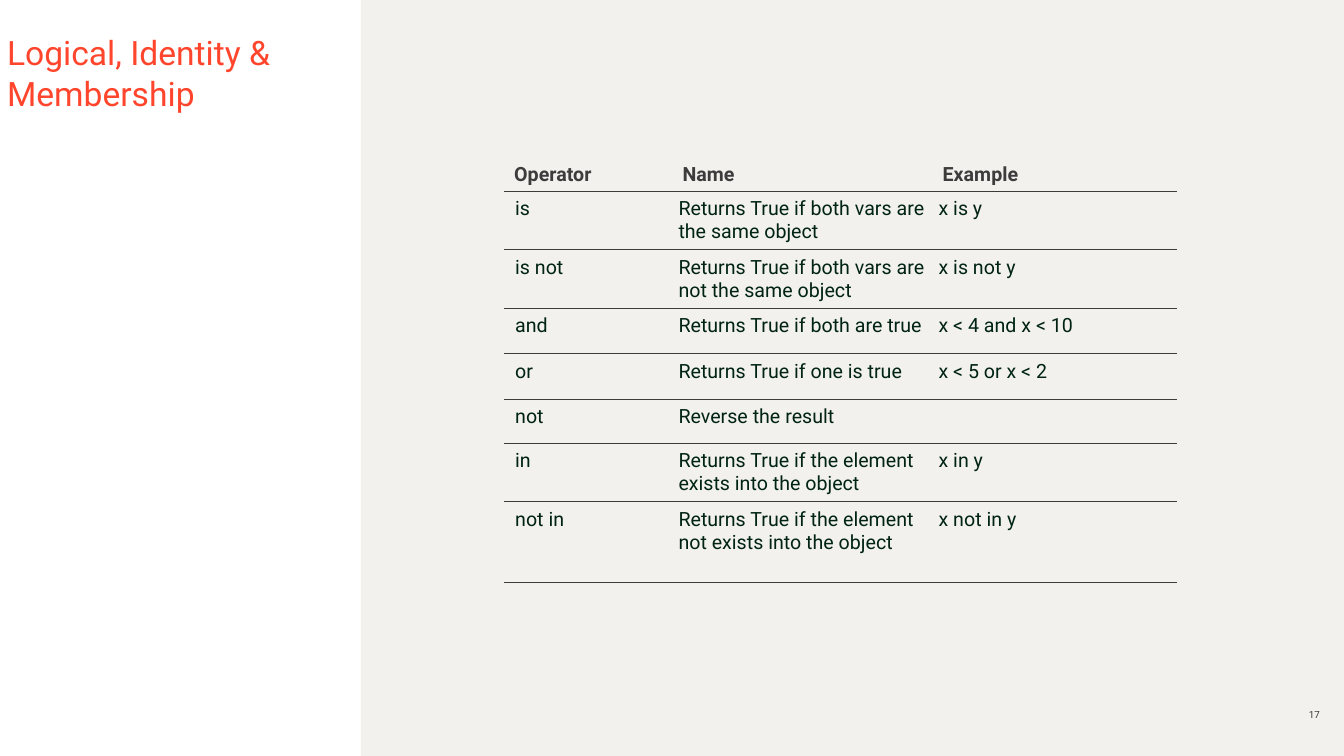
from lxml import etree
from pptx import Presentation
from pptx.dml.color import RGBColor
from pptx.enum.shapes import MSO_SHAPE
from pptx.enum.text import MSO_ANCHOR, MSO_AUTO_SIZE, PP_ALIGN
from pptx.oxml.ns import qn
from pptx.util import Inches, Pt

RECTANGLE = MSO_SHAPE.RECTANGLE
TOP, BOTTOM = MSO_ANCHOR.TOP, MSO_ANCHOR.BOTTOM
LEFT, RIGHT = PP_ALIGN.LEFT, PP_ALIGN.RIGHT
NO_AUTOFIT = MSO_AUTO_SIZE.NONE

FONT = "Roboto"
PANEL_BEIGE = RGBColor(0xF2, 0xF1, 0xEE)
TITLE_RED = RGBColor(0xFF, 0x46, 0x2D)
DARK_GREY = RGBColor(0x3D, 0x3B, 0x3B)
DARK_GREEN = RGBColor(0x00, 0x23, 0x13)
NO_STYLE_NO_GRID = "{2D5ABB26-0587-4C30-8999-92F81FD0307C}"

COLUMN_WIDTHS = [1.67, 2.58, 1.78, 0.64]
ROW_HEIGHTS = [0.94, 0.57, 0.57, 0.45, 0.45, 0.44, 0.57, 0.8]
OPERATORS = [
    ("Operator", "Name", "Example", ""),
    ("is", "Returns True if both vars are the same object", "x is y", ""),
    ("is not", "Returns True if both vars are not the same object", "x is not y", ""),
    ("and", "Returns True if both are true", "x < 4 and x < 10", ""),
    ("or", "Returns True if one is true", "x < 5 or x < 2", ""),
    ("not", "Reverse the result", "", ""),
    ("in", "Returns True if the element exists into the object", "x in y", ""),
    ("not in", "Returns True if the element not exists into the object", "x not in y", ""),
]


def set_text(frame, text, size, color, align=LEFT, bold=False):
    frame.text = text
    for paragraph in frame.paragraphs:
        paragraph.alignment = align
        for run in paragraph.runs:
            run.font.name = FONT
            run.font.size = Pt(size)
            run.font.bold = bold
            run.font.color.rgb = color


def place(shape, left, top, width, height):
    shape.left, shape.top = Inches(left), Inches(top)
    shape.width, shape.height = Inches(width), Inches(height)


def clear_insets(frame, anchor):
    frame.margin_left = frame.margin_right = 0
    frame.margin_top = frame.margin_bottom = 0
    frame.vertical_anchor = anchor
    frame.word_wrap = True
    frame.auto_size = NO_AUTOFIT


def add_panel(slide, left, top, width, height):
    panel = slide.shapes.add_shape(
        RECTANGLE, Inches(left), Inches(top), Inches(width), Inches(height))
    panel.shadow.inherit = False
    panel.fill.solid()
    panel.fill.fore_color.rgb = PANEL_BEIGE
    panel.line.fill.background()


def add_title(slide, left, top, width, height):
    title = slide.shapes.title
    place(title, left, top, width, height)
    clear_insets(title.text_frame, TOP)
    set_text(title.text_frame, "Logical, Identity & Membership", 24, TITLE_RED)


def add_page_number(slide, left, top, width, height):
    number = slide.shapes.add_textbox(
        Inches(left), Inches(top), Inches(width), Inches(height))
    clear_insets(number.text_frame, BOTTOM)
    set_text(number.text_frame, "17", 7, DARK_GREY, RIGHT)


def rule_below(cell):
    rule = etree.Element(qn("a:lnB"), w=str(Pt(0.75)))
    fill = etree.SubElement(rule, qn("a:solidFill"))
    etree.SubElement(fill, qn("a:srgbClr"), val=str(DARK_GREY))
    cell._tc.get_or_add_tcPr().insert(0, rule)


def add_operator_table(slide, left, top):
    frame = slide.shapes.add_table(
        len(OPERATORS), len(COLUMN_WIDTHS), Inches(left), Inches(top),
        Inches(sum(COLUMN_WIDTHS)), Inches(sum(ROW_HEIGHTS)))
    table = frame.table
    table.first_row = table.horz_banding = False
    table._tbl.tblPr.find(qn("a:tableStyleId")).text = NO_STYLE_NO_GRID
    for column, width in zip(table.columns, COLUMN_WIDTHS):
        column.width = Inches(width)
    for row, height in zip(table.rows, ROW_HEIGHTS):
        row.height = Inches(height)
    for row_index, texts in enumerate(OPERATORS):
        header = row_index == 0
        for column_index, text in enumerate(texts):
            cell = table.cell(row_index, column_index)
            cell.fill.background()
            rule_below(cell)
            if header:
                cell.vertical_anchor = BOTTOM
            else:
                cell.margin_left = Inches(0.11 if column_index == 0 else 0.06)
                cell.margin_right = Inches(0.06)
                cell.margin_top = cell.margin_bottom = Inches(0.06)
            if text:
                color = DARK_GREY if header else DARK_GREEN
                set_text(cell.text_frame, text, 14, color, bold=header)


def main():
    presentation = Presentation()
    presentation.slide_width = Inches(13.33)
    presentation.slide_height = Inches(7.5)
    slide = presentation.slides.add_slide(presentation.slide_layouts[5])
    add_panel(slide, 3.58, 0, 9.75, 7.5)
    add_title(slide, 0.07, 0.32, 3.51, 0.46)
    add_operator_table(slide, 5, 0.96)
    add_page_number(slide, 12.81, 6.91, 0.28, 0.24)
    presentation.save("out.pptx")


if __name__ == "__main__":
    main()
